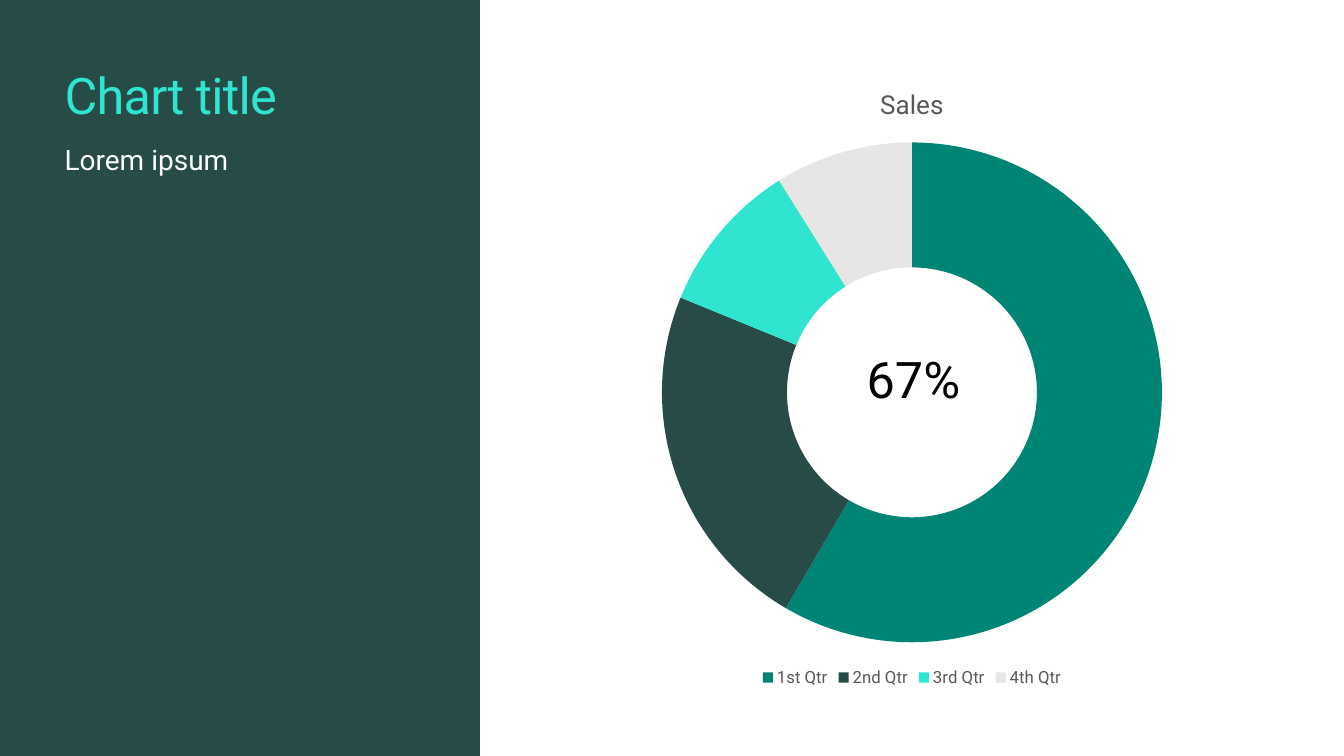
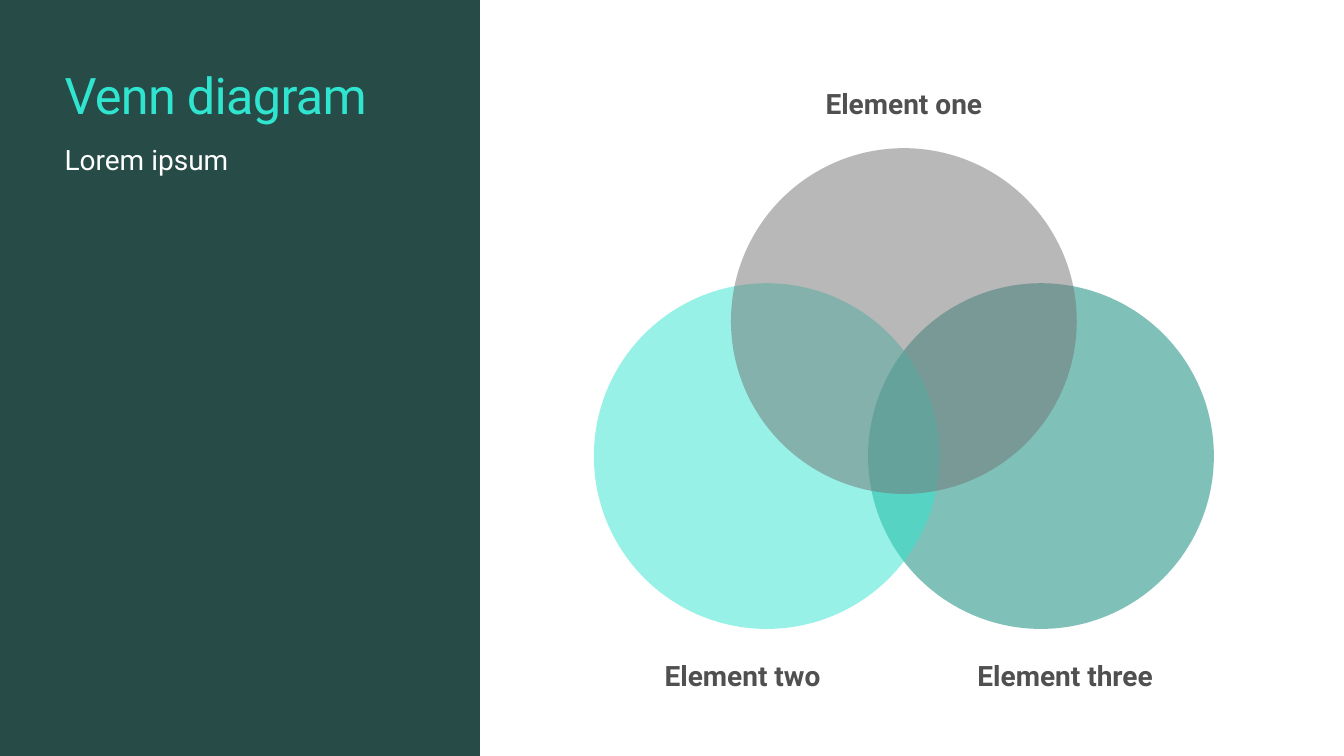
import pptx
import pptx.chart.data
import pptx.dml.color
import pptx.enum.chart
import pptx.enum.shapes
import pptx.enum.text
import pptx.oxml.ns
import pptx.oxml.xmlchemy
import pptx.util

RGB = pptx.dml.color.RGBColor
PINE = RGB(0x27, 0x4B, 0x47)
TEAL = RGB(0x00, 0x85, 0x75)
AQUA = RGB(0x30, 0xE5, 0xD0)
PALE = RGB(0xE6, 0xE6, 0xE6)
GRAY = RGB(0x73, 0x73, 0x73)
DARK = RGB(0x50, 0x50, 0x50)
SOFT = RGB(0x59, 0x59, 0x59)
WHITE = RGB(0xFF, 0xFF, 0xFF)
BLACK = RGB(0x00, 0x00, 0x00)

FACE = "Roboto"
SCALE = 9144  # EMU per px, 100 px to the inch
WIDE, HIGH = 1333, 750
EDGE = 64
ALIGN = pptx.enum.text.PP_ALIGN
KIND = pptx.enum.shapes.MSO_SHAPE


def emu(*sizes):
    return [pptx.util.Emu(size * SCALE) for size in sizes]


def style(font, size, color, bold=False):
    font.name = FACE
    font.size = pptx.util.Pt(size)
    font.color.rgb = color
    font.bold = bold


def write(shape, text, size, color, align, bold=False, flush=True):
    """Fill a shape with one line; flush drops its inner margins."""
    frame = shape.text_frame
    frame.text = text
    frame.word_wrap = True
    frame.auto_size = pptx.enum.text.MSO_AUTO_SIZE.NONE
    frame.vertical_anchor = pptx.enum.text.MSO_ANCHOR.TOP
    if flush:
        frame.margin_left = frame.margin_right = 0
        frame.margin_top = frame.margin_bottom = 0
    line = frame.paragraphs[0]
    line.alignment = align
    style(line.runs[0].font, size, color, bold)
    return line


def place(shape, *box):
    shape.left, shape.top, shape.width, shape.height = emu(*box)


def add_form(slide, kind, box, color, alpha=100):
    shape = slide.shapes.add_shape(kind, *emu(*box))
    shape.shadow.inherit = False
    shape.fill.solid()
    shape.fill.fore_color.rgb = color
    shape.line.fill.background()
    if alpha < 100:
        tint = shape._element.spPr.find(".//" + pptx.oxml.ns.qn("a:srgbClr"))
        node = pptx.oxml.xmlchemy.OxmlElement("a:alpha")
        node.set("val", str(alpha * 1000))
        tint.append(node)
    return shape


def add_page(deck, title, body):
    """Add a slide with the dark side panel, its title and its text."""
    slide = deck.slides.add_slide(deck.slide_layouts[1])
    panel = add_form(slide, KIND.RECTANGLE, (0, 0, 476, HIGH), PINE)
    slide.shapes._spTree.insert(2, panel._element)

    head, text = slide.placeholders
    place(head, EDGE, EDGE, 348, 63)
    line = write(head, title, 36, AQUA, ALIGN.LEFT)
    line.runs[0]._r.get_or_add_rPr().set("spc", "-50")

    place(text, EDGE, 141, 349, 545)
    line = write(text, body, 20, WHITE, ALIGN.LEFT)
    line.space_after = pptx.util.Pt(6)
    props = line._p.get_or_add_pPr()
    props.set("marL", "0")
    props.set("indent", "0")
    props.append(pptx.oxml.xmlchemy.OxmlElement("a:buNone"))
    return slide


def add_label(slide, text, box):
    label = slide.shapes.add_textbox(*emu(*box))
    line = write(label, text, 20, DARK, ALIGN.CENTER, bold=True, flush=False)
    line.line_spacing = 1.5


def add_ring(slide, name, parts, box):
    """Add a doughnut chart; parts are (label, value, colour)."""
    data = pptx.chart.data.CategoryChartData()
    data.categories = [label for label, _, _ in parts]
    data.add_series(name, [value for _, value, _ in parts])
    kind = pptx.enum.chart.XL_CHART_TYPE.DOUGHNUT
    chart = slide.shapes.add_chart(kind, *emu(*box), data).chart
    style(chart.font, 10, BLACK)

    chart.has_title = True
    frame = chart.chart_title.text_frame
    frame.text = name
    style(frame.paragraphs[0].runs[0].font, 18.6, SOFT)

    chart.has_legend = True
    chart.legend.position = pptx.enum.chart.XL_LEGEND_POSITION.BOTTOM
    chart.legend.include_in_layout = False
    style(chart.legend.font, 12, SOFT)

    plot = chart.plots[0]
    plot.vary_by_categories = True
    for spot, (_, _, color) in enumerate(parts):
        look = plot.series[0].points[spot].format
        look.fill.solid()
        look.fill.fore_color.rgb = color
        look.line.fill.background()


def chart_page(deck):
    slide = add_page(deck, "Chart title", "Lorem ipsum")
    parts = [("1st Qtr", 59, TEAL), ("2nd Qtr", 23, PINE),
             ("3rd Qtr", 10, AQUA), ("4th Qtr", 9, PALE)]
    add_ring(slide, "Sales", parts, (540, EDGE, 729, 622))
    share = slide.shapes.add_textbox(*emu(780, 345, 252, 61))
    write(share, "67%", 36, BLACK, ALIGN.CENTER)


def venn_page(deck):
    slide = add_page(deck, "Venn diagram", "Lorem ipsum")
    size, left, step = 343, 589, 136
    low, high = 281, 147
    discs = [
        (2, low, TEAL, "Element three", (909, 632, 295, 66)),
        (0, low, AQUA, "Element two", (left, 632, 295, 66)),
        (1, high, GRAY, "Element one", (672, EDGE, 449, 83)),
    ]
    for spot, top, color, text, box in discs:
        disc = (left + spot * step, top, size, size)
        add_form(slide, KIND.OVAL, disc, color, alpha=50)
        add_label(slide, text, box)


def main():
    deck = pptx.Presentation()
    deck.slide_width, deck.slide_height = emu(WIDE, HIGH)
    chart_page(deck)
    venn_page(deck)
    deck.save("out.pptx")


if __name__ == "__main__":
    main()
